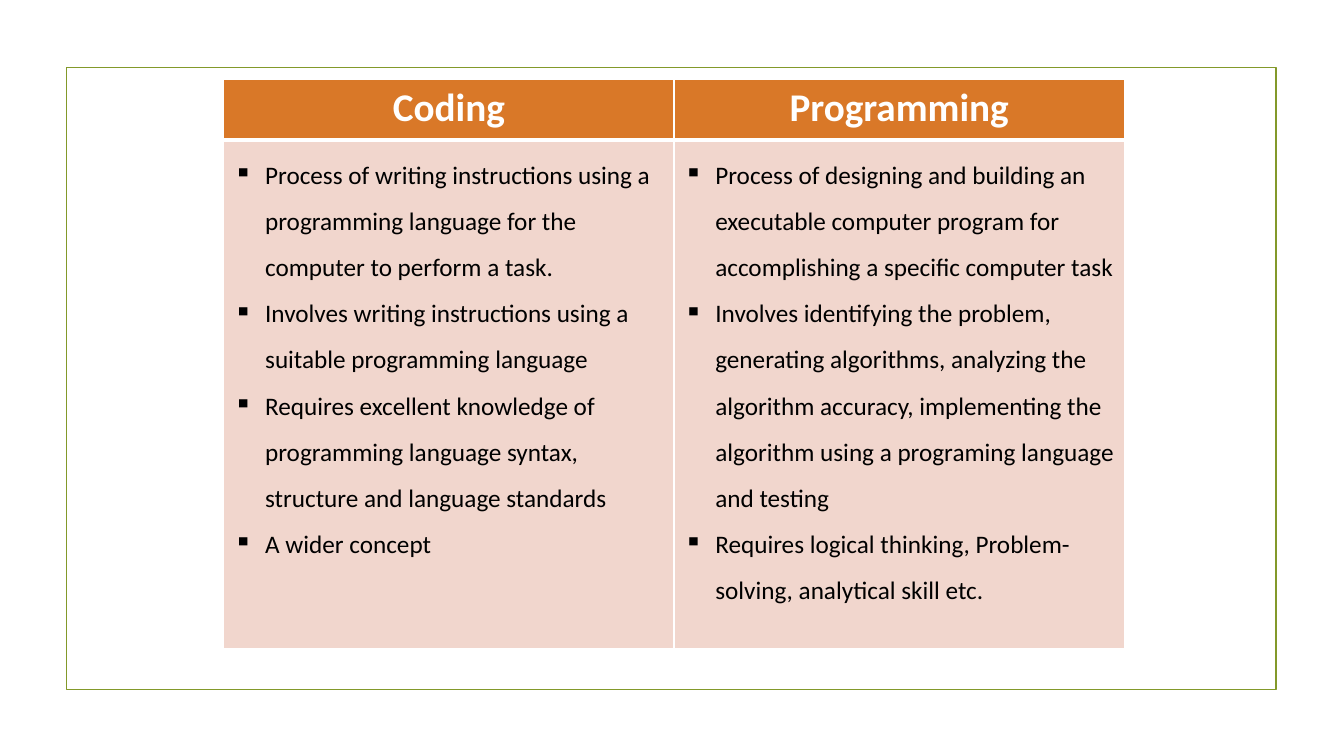
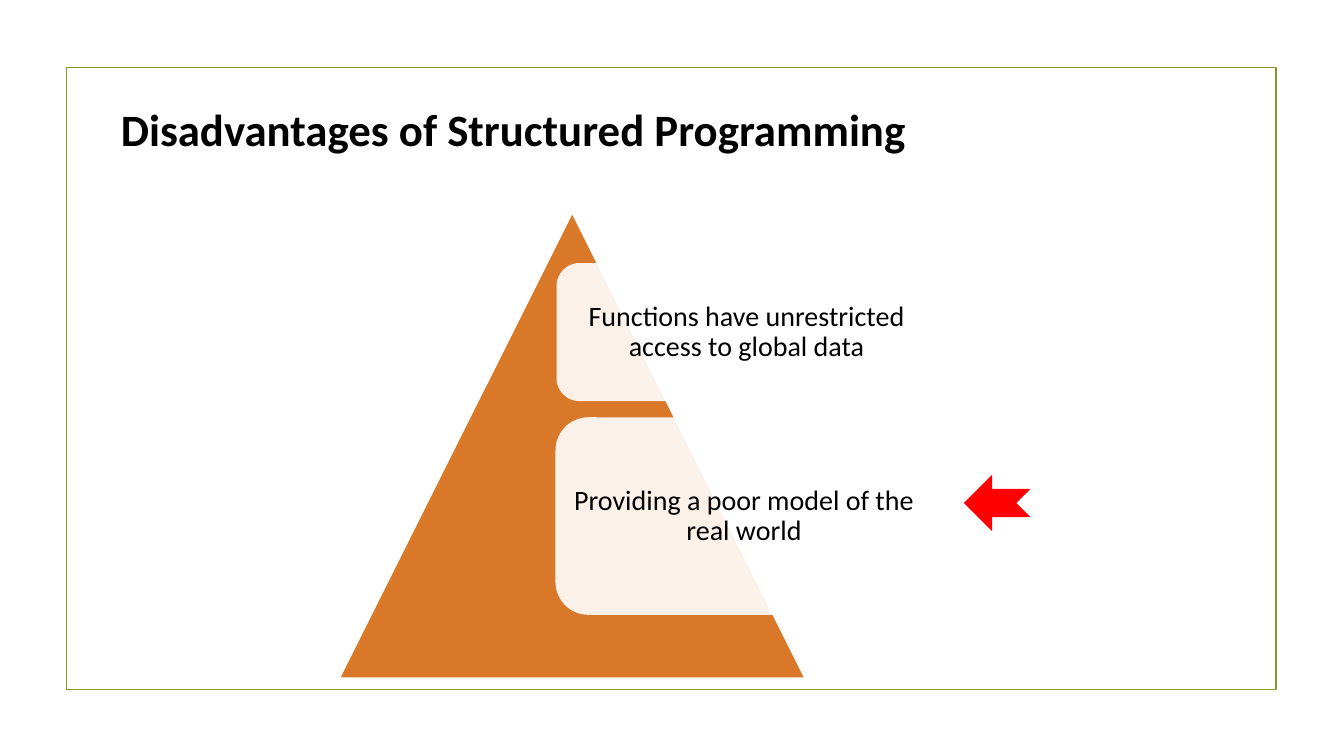
from dataclasses import dataclass

from lxml.etree import SubElement
from pptx import Presentation
from pptx.dml.color import RGBColor
from pptx.enum.shapes import MSO_SHAPE as Shape
from pptx.enum.text import MSO_ANCHOR as Anchor, PP_ALIGN as Align
from pptx.oxml.ns import qn
from pptx.util import Inches, Pt


@dataclass(frozen=True)
class Theme:
    font: str = "Calibri"
    frame: str = "83992A"
    accent: str = "D97828"
    pale: str = "F1D6CD"
    alert: str = "FF0000"
    ink: str = "000000"
    white: str = "FFFFFF"
    title: int = 32
    header: int = 28
    label: int = 20
    body: int = 18


THEME = Theme()

COMPARISON = {
    "Coding": [
        "Process of writing instructions using a programming language for the computer to perform a task.",
        "Involves writing instructions using a suitable programming language",
        "Requires excellent knowledge of programming language syntax, structure and language standards",
        "A wider concept",
    ],
    "Programming": [
        "Process of designing and building an executable computer program for accomplishing a specific computer task",
        "Involves identifying the problem, generating algorithms, analyzing the algorithm accuracy, "
        "implementing the algorithm using a programing language and testing",
        "Requires logical thinking, Problem-solving, analytical skill etc.",
    ],
}
TITLE = "Disadvantages of Structured Programming"
# text, (left, top, width, height), inset
DRAWBACKS = [
    ("Functions have unrestricted access to global data", (5.52, 2.61, 3.77, 1.37), 0.07),
    ("Providing a poor model of the real world", (5.51, 4.14, 3.74, 1.96), 0.08),
]

FRAME_AREA = (0.66, 0.67, 12, 6.17)
TABLE_AREA = (2.22, 0.79, 8.93, 5.64)
HEADER_HEIGHT = 0.6
BULLET_INDENT = 0.31
TITLE_AREA = (1.1, 0.96, 8.43, 0.64)
PYRAMID_AREA = (3.38, 2.13, 4.59, 4.59)
ARROW_AREA = (9.56, 4.71, 0.66, 0.56)


def inches(area):
    return [Inches(length) for length in area]


def add_figure(page, kind, area, fill=None):
    figure = page.shapes.add_shape(kind, *inches(area))
    figure.shadow.inherit = False
    figure.line.fill.background()
    if fill:
        figure.fill.solid()
        figure.fill.fore_color.rgb = RGBColor.from_string(fill)
    else:
        figure.fill.background()
    return figure


def add_page(deck):
    """Add a blank slide with the shared green frame."""
    page = deck.slides.add_slide(deck.slide_layouts[6])
    frame = add_figure(page, Shape.RECTANGLE, FRAME_AREA)
    frame.line.color.rgb = RGBColor.from_string(THEME.frame)
    frame.line.width = Pt(1.25)
    return page


def write(para, text, size, color=THEME.ink, bold=False, **layout):
    for name, value in layout.items():
        setattr(para, name, value)
    span = para.add_run()
    span.text = text
    formats = {"name": THEME.font, "size": Pt(size), "bold": bold}
    for name, value in formats.items():
        setattr(span.font, name, value)
    span.font.color.rgb = RGBColor.from_string(color)


def add_bullet(para):
    props = para._p.get_or_add_pPr()
    indent = Inches(BULLET_INDENT)
    props.set("marL", str(indent))
    props.set("indent", str(-indent))
    SubElement(props, qn("a:buChar"), char="▪")


def style_cell(cell, fill, top, bottom):
    """Give a cell white borders and a plain fill."""
    props = cell._tc.get_or_add_tcPr()
    for side, width in {"L": 1, "R": 1, "T": top, "B": bottom}.items():
        line = SubElement(props, qn(f"a:ln{side}"), w=str(Pt(width)))
        SubElement(SubElement(line, qn("a:solidFill")), qn("a:srgbClr"), val=THEME.white)
    cell.fill.solid()
    cell.fill.fore_color.rgb = RGBColor.from_string(fill)


def build_comparison(deck):
    page = add_page(deck)
    table = page.shapes.add_table(2, len(COMPARISON), *inches(TABLE_AREA)).table
    table.horz_banding = False
    table.rows[0].height = Inches(HEADER_HEIGHT)
    table.rows[1].height = Inches(TABLE_AREA[3] - HEADER_HEIGHT)
    for column, (heading, points) in enumerate(COMPARISON.items()):
        header, body = table.cell(0, column), table.cell(1, column)
        style_cell(header, THEME.accent, top=1, bottom=3)
        style_cell(body, THEME.pale, top=3, bottom=1)
        write(header.text_frame.paragraphs[0], heading, THEME.header, THEME.white,
              bold=True, alignment=Align.CENTER)
        for number, point in enumerate(points):
            box = body.text_frame
            para = box.add_paragraph() if number else box.paragraphs[0]
            add_bullet(para)
            write(para, point, THEME.body, line_spacing=1.5)


def build_drawbacks(deck):
    page = add_page(deck)
    title = page.shapes.add_textbox(*inches(TITLE_AREA)).text_frame
    title.word_wrap = True
    write(title.paragraphs[0], TITLE, THEME.title, bold=True)

    add_figure(page, Shape.ISOSCELES_TRIANGLE, PYRAMID_AREA, THEME.accent)
    for text, area, inset in DRAWBACKS:
        card = add_figure(page, Shape.ROUNDED_RECTANGLE, area, THEME.white)
        color = card._element.spPr.find(qn("a:solidFill")).find(qn("a:srgbClr"))
        SubElement(color, qn("a:alpha"), val="90000")
        box = card.text_frame
        box.word_wrap = True
        box.vertical_anchor = Anchor.MIDDLE
        for side in ("left", "top", "right", "bottom"):
            setattr(box, f"margin_{side}", Inches(inset))
        write(box.paragraphs[0], text, THEME.label, alignment=Align.CENTER, line_spacing=0.9)

    arrow = add_figure(page, Shape.NOTCHED_RIGHT_ARROW, ARROW_AREA, THEME.alert)
    arrow.rotation = 180


def main():
    deck = Presentation()
    deck.slide_width, deck.slide_height = Inches(13.33), Inches(7.5)
    build_comparison(deck)
    build_drawbacks(deck)
    deck.save("out.pptx")


if __name__ == "__main__":
    main()
